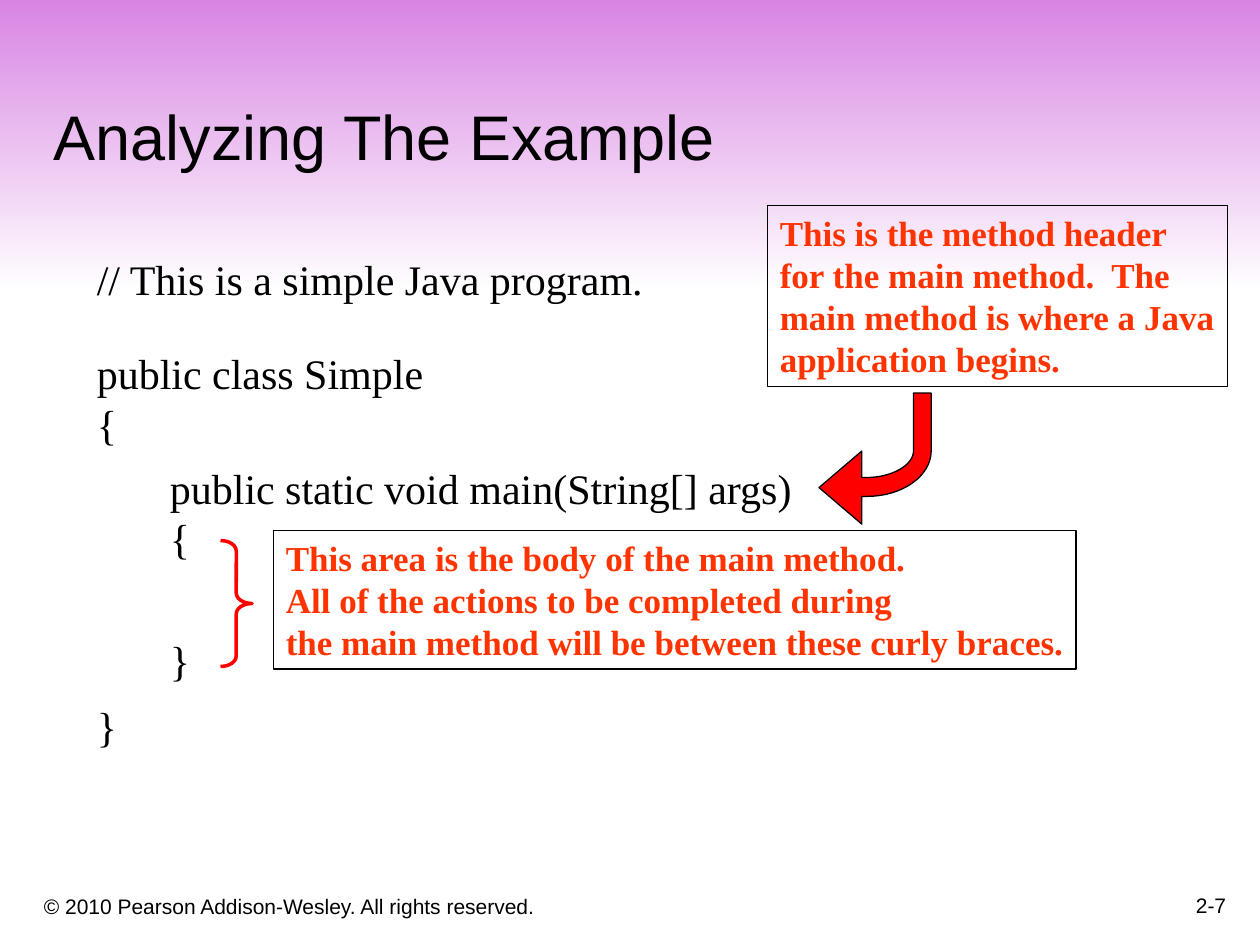
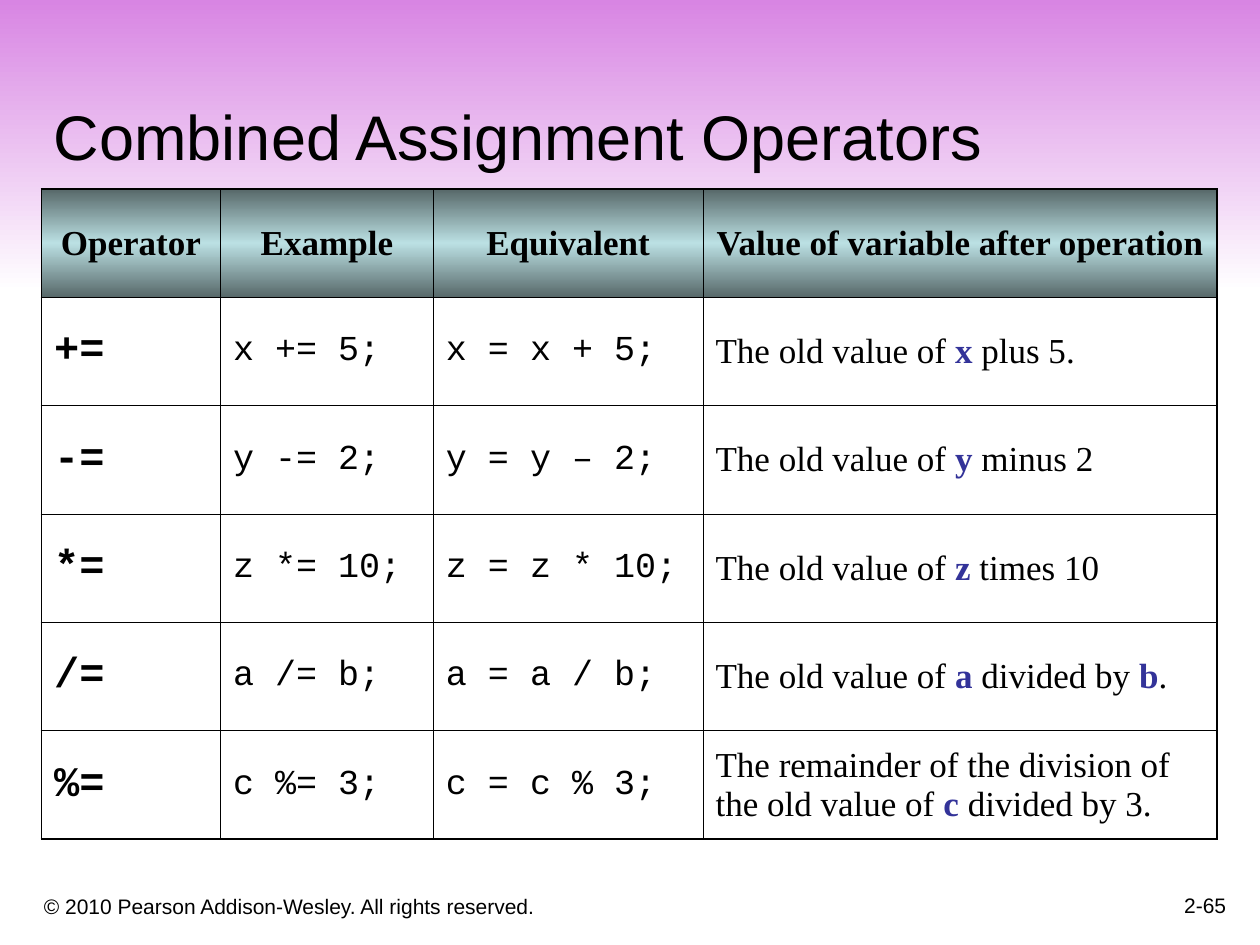
from copy import deepcopy
from dataclasses import dataclass

from lxml import etree
from pptx import Presentation
from pptx.dml.color import RGBColor
from pptx.enum.shapes import MSO_SHAPE
from pptx.enum.text import MSO_ANCHOR, PP_ALIGN
from pptx.oxml.ns import qn
from pptx.util import Inches, Pt

RECT, BRACE = MSO_SHAPE.RECTANGLE, MSO_SHAPE.RIGHT_BRACE
TOP, MIDDLE, BOTTOM = MSO_ANCHOR.TOP, MSO_ANCHOR.MIDDLE, MSO_ANCHOR.BOTTOM
LEFT, CENTER, RIGHT = PP_ALIGN.LEFT, PP_ALIGN.CENTER, PP_ALIGN.RIGHT


@dataclass(frozen=True)
class Theme:
    """Hold the colours, fonts and type formats of the deck."""

    ink: str = "000000"
    red: str = "FF0000"
    note: str = "FF3300"
    term: str = "333399"
    band: tuple = ("D885E3", "FFFFFF")
    head: tuple = ("576869", "BBE0E3", "576869")
    sans: str = "Arial"
    serif: str = "Times New Roman"
    mono: str = "Courier New"
    thin: float = 0.45
    thick: float = 1.08

    def font(self, name, size, color=None, bold=False):
        """Return the format values of one kind of text."""
        return {"name": name, "size": Pt(size), "bold": bold, "color": color or self.ink}


THEME = Theme()
TITLE = THEME.font(THEME.sans, 36)
FOOT = THEME.font(THEME.sans, 12)
CODE = THEME.font(THEME.serif, 24)
NOTE = THEME.font(THEME.serif, 20, THEME.note, True)
HEAD = THEME.font(THEME.serif, 20, bold=True)
SIGN = THEME.font(THEME.mono, 24, bold=True)
MONO = THEME.font(THEME.mono, 20)
BODY = THEME.font(THEME.serif, 20)
TERM = THEME.font(THEME.serif, 20, THEME.term, True)

COLS = (1.42, 1.69, 2.14, 4.08)
ROW = 0.86
HEADS = ("Operator", "Example", "Equivalent", "Value of variable after operation")
ROWS = (
    ("+=", "x += 5;", "x = x + 5;", "The old value of |x| plus 5."),
    ("-=", "y -= 2;", "y = y – 2;", "The old value of |y| minus 2"),
    ("*=", "z *= 10;", "z = z * 10;", "The old value of |z| times 10"),
    ("/=", "a /= b;", "a = a / b;", "The old value of |a| divided by |b|."),
    ("%=", "c %= 3;", "c = c % 3;",
     "The remainder of the division of the old value of |c| divided by 3."),
)


def rgb(code):
    """Turn a hex code into a colour."""
    return RGBColor.from_string(code)


def assign(item, values):
    """Set attributes from a dict of format values."""
    for key, value in values.items():
        if key == "color":
            item.color.rgb = rgb(value)
        else:
            setattr(item, key, value)


def write(para, text, font, mark=None):
    """Fill a paragraph, with the parts between bars in the mark format."""
    parts = text.split("|") if mark else [text]
    for i, part in enumerate(parts):
        if part:
            run = para.add_run()
            run.text = part
            assign(run.font, mark if i % 2 else font)


def fill_text(frame, lines, font, pitch=None, gaps=None, **form):
    """Write lines to a frame, with gaps in points before given lines."""
    assign(frame, {"word_wrap": True, "vertical_anchor": TOP} | form)
    for i, line in enumerate(lines):
        para = frame.paragraphs[0] if i == 0 else frame.add_paragraph()
        para.alignment = LEFT
        if pitch:
            para.line_spacing = Pt(pitch)
        if gaps and i in gaps:
            para.space_before = Pt(gaps[i])
        write(para, line, font)


def add_text(slide, box, lines, font, align=LEFT, **form):
    """Add a text box at a box given in inches."""
    frame = slide.shapes.add_textbox(*map(Inches, box)).text_frame
    fill_text(frame, lines, font, **form)
    for para in frame.paragraphs:
        para.alignment = align


def add_code(slide, left, top, lines, gaps=None):
    """Add lines of program text."""
    add_text(slide, (left, top, 5.5, 0.5), lines, CODE, pitch=28.8, gaps=gaps)


def outline(shape, color, width):
    """Give a shape a plain line and no shadow."""
    shape.shadow.inherit = False
    shape.line.color.rgb = rgb(color)
    shape.line.width = Pt(width)


def add_note(slide, box, lines):
    """Add a framed note."""
    shape = slide.shapes.add_shape(RECT, *map(Inches, box))
    shape.fill.background()
    outline(shape, THEME.ink, 0.75)
    fill_text(shape.text_frame, lines, NOTE, pitch=24, word_wrap=False)


def add_brace(slide, box):
    """Add a red right brace."""
    shape = slide.shapes.add_shape(BRACE, *map(Inches, box))
    shape.adjustments[0] = 0.33
    shape.fill.background()
    outline(shape, THEME.red, 2)


def curve(start, pull, push, end, steps=16):
    """Return points along a cubic curve."""
    points = []
    for i in range(steps + 1):
        t = i / steps
        parts = ((1 - t) ** 3, 3 * t * (1 - t) ** 2, 3 * t * t * (1 - t), t ** 3)
        pairs = zip(parts, (start, pull, push, end))
        points.append(tuple(map(sum, zip(*((p * x, p * y) for p, (x, y) in pairs)))))
    return points


def add_arrow(slide):
    """Add the bent arrow from the header note to the code."""
    outer = curve((6.88, 3.94), (7.16, 3.94), (7.39, 3.78), (7.39, 3.58))
    inner = curve((7.25, 3.58), (7.25, 3.69), (7.08, 3.79), (6.88, 3.79))
    points = [(6.5, 3.87), (6.84, 4.16), (6.84, 3.94), *outer,
              (7.39, 3.12), (7.25, 3.12), *inner, (6.84, 3.79), (6.84, 3.58)]
    points = [(Inches(x), Inches(y)) for x, y in points]
    path = slide.shapes.build_freeform(*points[0])
    path.add_line_segments(points[1:], close=True)
    shape = path.convert_to_shape()
    shape.fill.solid()
    shape.fill.fore_color.rgb = rgb(THEME.red)
    outline(shape, THEME.ink, 0.75)


def shade(fill, root, colors):
    """Apply an even gradient from top to bottom."""
    fill.gradient()
    fill.gradient_angle = 270
    stops = next(root.iter(qn("a:gsLst")))
    while len(stops) < len(colors):
        stops.append(deepcopy(stops[0]))
    for i, (stop, color) in enumerate(zip(fill.gradient_stops, colors)):
        stop.color.rgb = rgb(color)
        stop.position = i / (len(colors) - 1)


def edge(cell, widths):
    """Draw the left, right, top and bottom borders of a cell."""
    props = cell._tc.get_or_add_tcPr()
    for i, (side, width) in enumerate(zip("LRTB", widths)):
        line = etree.Element(qn(f"a:ln{side}"), w=str(Pt(width)))
        solid = etree.SubElement(line, qn("a:solidFill"))
        etree.SubElement(solid, qn("a:srgbClr"), val=THEME.ink)
        props.insert(i, line)


def add_grid(slide, left, top):
    """Add the table of operators."""
    data = (HEADS, *ROWS)
    rows, cols = len(data), len(COLS)
    size = (left, top, sum(COLS), ROW * rows)
    table = slide.shapes.add_table(rows, cols, *map(Inches, size)).table
    table.first_row = table.horz_banding = False
    for col, width in zip(table.columns, COLS):
        col.width = Inches(width)
    for r, texts in enumerate(data):
        table.rows[r].height = Inches(ROW)
        for c, text in enumerate(texts):
            cell = table.cell(r, c)
            cell.vertical_anchor = MIDDLE
            para = cell.text_frame.paragraphs[0]
            if r == 0:
                para.alignment = CENTER
                write(para, text, HEAD)
                shade(cell.fill, cell._tc, THEME.head)
            else:
                write(para, text, (SIGN, MONO, MONO, BODY)[c], TERM)
                cell.fill.background()
            rims = (c == 0, c == cols - 1, r == 0, r == rows - 1)
            edge(cell, [THEME.thick if rim else THEME.thin for rim in rims])


def add_slide(deck, title, number):
    """Add a slide with the band, title and footer that all share."""
    slide = deck.slides.add_slide(deck.slide_layouts[6])
    band = slide.shapes.add_shape(RECT, 0, 0, deck.slide_width, Inches(2.32))
    band.shadow.inherit = False
    band.line.fill.background()
    shade(band.fill, band._element, THEME.band)
    low = {"vertical_anchor": BOTTOM}
    add_text(slide, (0.25, 6.92, 6.08, 0.42),
             ["© 2010 Pearson Addison-Wesley. All rights reserved."], FOOT, **low)
    add_text(slide, (7.75, 6.83, 2.08, 0.5), [number], FOOT, RIGHT, **low)
    add_text(slide, (0.33, 0.33, 9.42, 1.09), [title], TITLE, **low)
    return slide


def main():
    """Build both slides and save the deck."""
    deck = Presentation()
    deck.slide_width, deck.slide_height = Inches(10), Inches(7.5)

    slide = add_slide(deck, "Analyzing The Example", "2-7")
    add_code(slide, 0.67, 1.96, ["// This is a simple Java program."])
    add_code(slide, 0.67, 2.71, ["public class Simple", "{", "}"], {2: 144})
    add_code(slide, 1.25, 3.62,
             ["public static void main(String[] args)", "{", "}"], {2: 40.8})
    add_note(slide, (2.17, 4.21, 6.37, 1.1), [
        "This area is the body of the main method.",
        "All of the actions to be completed during",
        "the main method will be between these curly braces."])
    add_brace(slide, (1.75, 4.29, 0.25, 1))
    add_note(slide, (6.09, 1.63, 3.65, 1.44), [
        "This is the method header",
        "for the main method.  The",
        "main method is where a Java",
        "application begins."])
    add_arrow(slide)

    slide = add_slide(deck, "Combined Assignment Operators", "2-65")
    add_grid(slide, 0.33, 1.5)
    deck.save("out.pptx")


if __name__ == "__main__":
    main()
